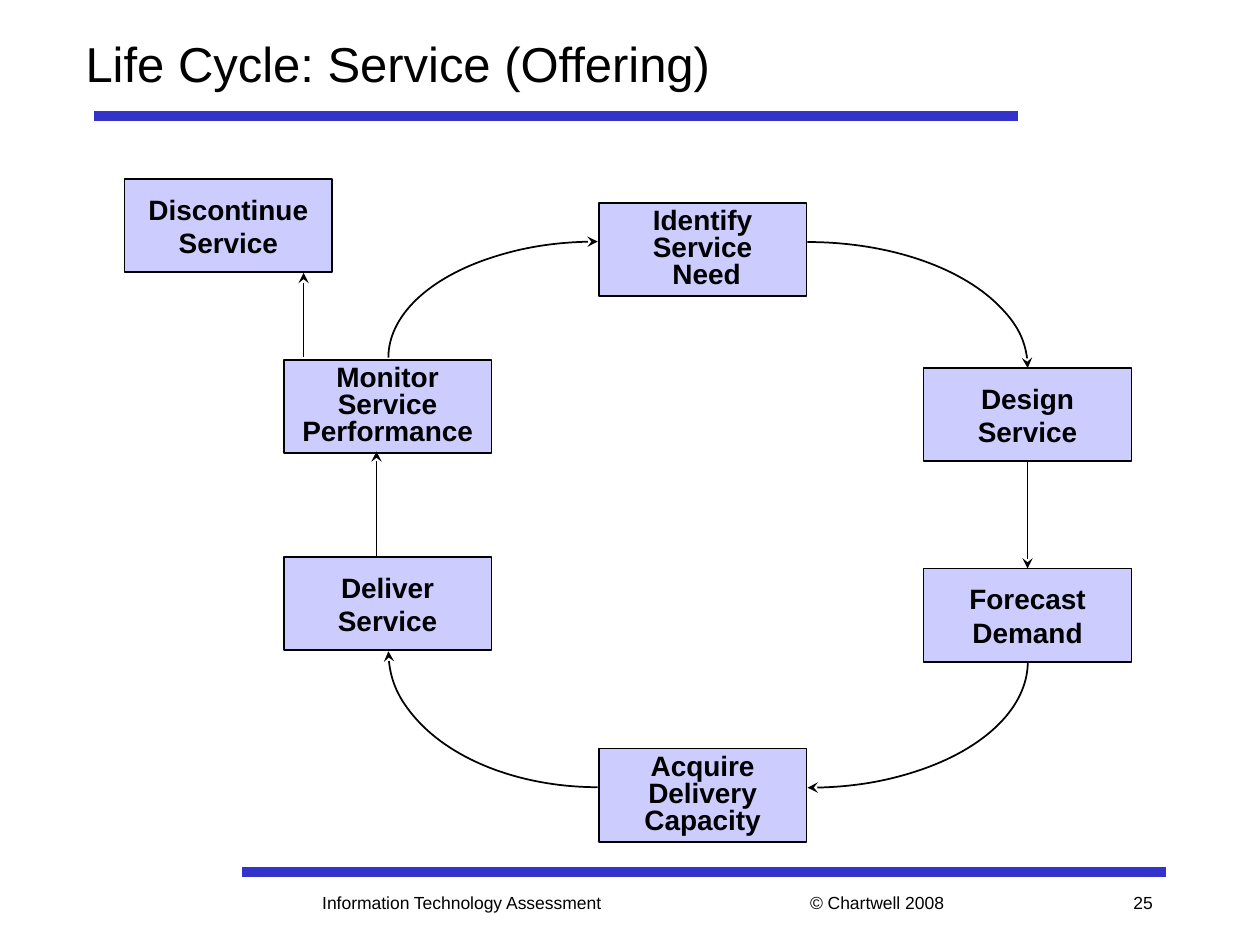
from dataclasses import dataclass

from lxml import etree
from pptx import Presentation
from pptx.dml.color import RGBColor
from pptx.enum.shapes import MSO_CONNECTOR, MSO_SHAPE
from pptx.enum.text import MSO_ANCHOR, PP_ALIGN
from pptx.oxml.ns import qn
from pptx.util import Cm, Pt

STRAIGHT = MSO_CONNECTOR.STRAIGHT
RECTANGLE, ARC = MSO_SHAPE.RECTANGLE, MSO_SHAPE.ARC
LEFT, CENTER, RIGHT = PP_ALIGN.LEFT, PP_ALIGN.CENTER, PP_ALIGN.RIGHT
MIDDLE = MSO_ANCHOR.MIDDLE
TOP, BOTTOM = 0, 2
TITLE_ONLY = 5


@dataclass(frozen=True)
class Theme:
    font: str = "Arial"
    ink: RGBColor = RGBColor(0x00, 0x00, 0x00)
    rule: RGBColor = RGBColor(0x33, 0x33, 0xCC)
    box: RGBColor = RGBColor(0xCC, 0xCC, 0xFF)
    title: Pt = Pt(28)
    label: Pt = Pt(16)
    footer: Pt = Pt(10)
    thin: Pt = Pt(1)
    thick: Pt = Pt(6)


THEME = Theme()
BOX_WIDTH, BOX_HEIGHT = 4.19, 1.88

# Name: left, top (cm), lines of the label
STAGES = {
    "identify": (12.07, 4.09, ["Identify", "Service", " Need"]),
    "design": (18.62, 7.42, ["Design", "Service"]),
    "forecast": (18.62, 11.46, ["Forecast", "Demand"]),
    "acquire": (12.07, 15.09, ["Acquire", "Delivery", "Capacity"]),
    "deliver": (5.72, 11.23, ["Deliver", "Service"]),
    "monitor": (5.72, 7.26, ["Monitor", "Service", "Performance"]),
    "discontinue": (2.51, 3.61, ["Discontinue", "Service"]),
}

# Centre x, centre y, radius x, radius y (cm), start angle of a clockwise quarter
CURVES = [
    (16.28, 7.42, 4.44, 2.54, 270),
    (16.28, 13.34, 4.44, 2.54, 0),
    (12.05, 13.13, 4.22, 2.74, 90),
    (12.05, 7.21, 4.22, 2.34, 180),
]

# Left, width (cm), alignment, text
FOOTERS = [
    (5.28, 8.05, CENTER, "Information Technology Assessment"),
    (16.08, 3.38, LEFT, "© Chartwell 2008"),
    (20.75, 2.74, RIGHT, "25"),
]


def write_paragraph(paragraph, text, size, alignment, bold=False):
    paragraph.alignment = alignment
    run = paragraph.add_run()
    run.text = text
    run.font.name = THEME.font
    run.font.size = size
    run.font.bold = bold
    run.font.color.rgb = THEME.ink


def add_arrowhead(shape):
    line = shape.element.spPr.find(qn("a:ln"))
    etree.SubElement(line, qn("a:tailEnd"), type="stealth")


def add_line(slide, start, end, color, width):
    line = slide.shapes.add_connector(STRAIGHT, *(Cm(value) for value in start + end))
    line.line.color.rgb = color
    line.line.width = width
    etree.SubElement(line.element.spPr, qn("a:effectLst"))
    return line


def add_arrow(slide, start, end):
    arrow = add_line(slide, start, end, THEME.ink, THEME.thin)
    add_arrowhead(arrow)
    return arrow


def add_curve(slide, center_x, center_y, radius_x, radius_y, start_angle):
    curve = slide.shapes.add_shape(
        ARC, Cm(center_x - radius_x), Cm(center_y - radius_y), Cm(2 * radius_x), Cm(2 * radius_y)
    )
    # Arc angles count 60000 units a degree, adjustments 100000 units
    for index, angle in enumerate((start_angle, (start_angle + 90) % 360)):
        curve.adjustments[index] = angle * 0.6
    curve.shadow.inherit = False
    curve.fill.background()
    curve.line.color.rgb = THEME.ink
    curve.line.width = THEME.thin
    add_arrowhead(curve)


def add_stage(slide, left, top, lines):
    box = slide.shapes.add_shape(RECTANGLE, Cm(left), Cm(top), Cm(BOX_WIDTH), Cm(BOX_HEIGHT))
    box.shadow.inherit = False
    box.fill.solid()
    box.fill.fore_color.rgb = THEME.box
    box.line.color.rgb = THEME.ink
    box.line.width = THEME.thin
    frame = box.text_frame
    frame.word_wrap = False
    frame.vertical_anchor = MIDDLE
    for index, text in enumerate(lines):
        paragraph = frame.add_paragraph() if index else frame.paragraphs[0]
        paragraph.line_spacing = 0.8 if len(lines) > 2 else 1.0
        write_paragraph(paragraph, text, THEME.label, CENTER, bold=True)
    return box


def add_footer(slide, left, width, alignment, text):
    frame = slide.shapes.add_textbox(Cm(left), Cm(17.78), Cm(width), Cm(0.84)).text_frame
    frame.word_wrap = True
    frame.vertical_anchor = MIDDLE
    write_paragraph(frame.paragraphs[0], text, THEME.footer, alignment)


def set_title(slide, text):
    title = slide.shapes.title
    title.left, title.top, title.width, title.height = Cm(1.47), Cm(0), Cm(21.59), Cm(2.54)
    title.text_frame.vertical_anchor = MIDDLE
    write_paragraph(title.text_frame.paragraphs[0], text, THEME.title, LEFT)


def main():
    presentation = Presentation()
    presentation.slide_width, presentation.slide_height = Cm(25.4), Cm(19.05)
    slide = presentation.slides.add_slide(presentation.slide_layouts[TITLE_ONLY])

    # Rules, footer and title
    for left, y in ((1.9, 2.34), (4.88, 17.58)):
        add_line(slide, (left, y), (left + 18.62, y), THEME.rule, THEME.thick)
    for footer in FOOTERS:
        add_footer(slide, *footer)
    set_title(slide, "Life Cycle: Service (Offering)")

    # Cycle: curves behind the stages
    for curve in CURVES:
        add_curve(slide, *curve)
    boxes = {name: add_stage(slide, *stage) for name, stage in STAGES.items()}

    # Straight steps
    demand = add_arrow(slide, (20.72, 9.3), (20.72, 11.46))
    demand.begin_connect(boxes["design"], BOTTOM)
    demand.end_connect(boxes["forecast"], TOP)
    add_arrow(slide, (7.59, 11.23), (7.59, 9.1))
    add_arrow(slide, (6.12, 7.2), (6.12, 5.5))

    presentation.save("out.pptx")


if __name__ == "__main__":
    main()
